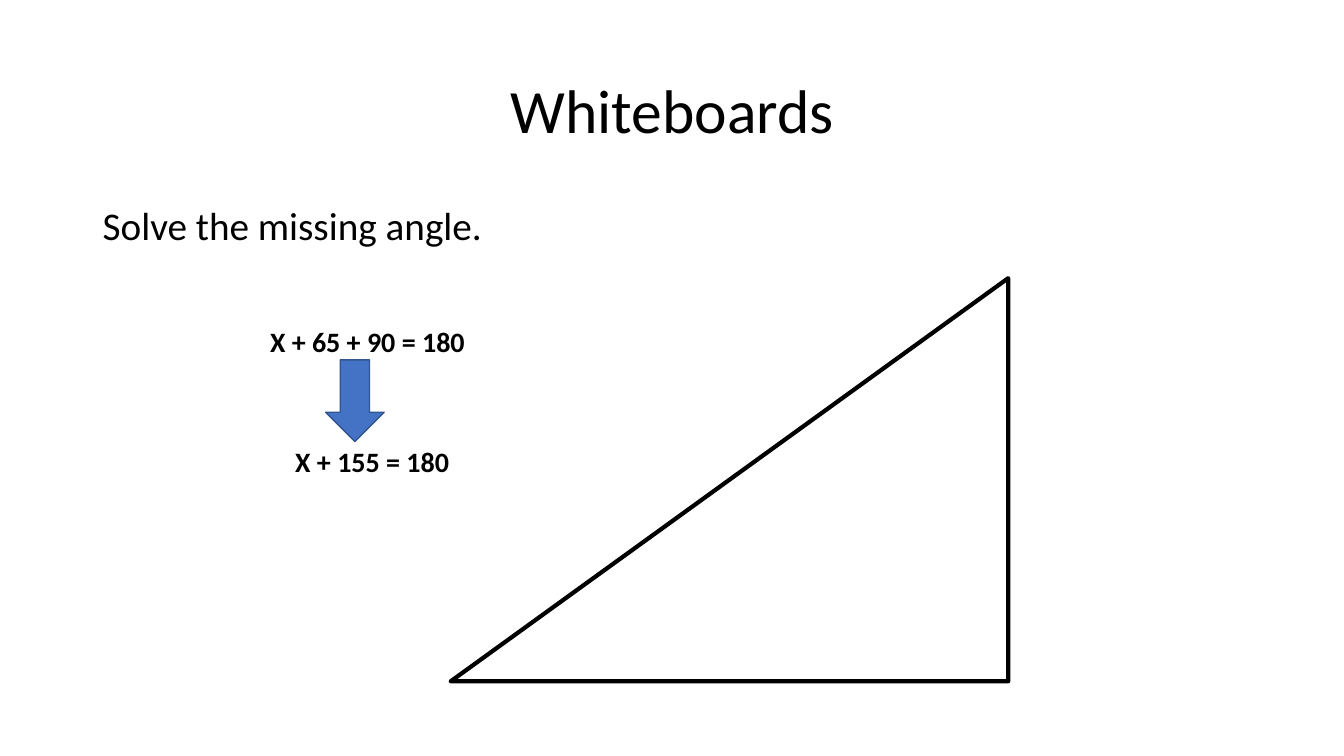
from pptx import Presentation
from pptx.dml.color import RGBColor
from pptx.enum.shapes import MSO_SHAPE
from pptx.enum.text import MSO_ANCHOR, PP_ALIGN
from pptx.util import Inches, Pt

BLACK = RGBColor(0x00, 0x00, 0x00)
BLUE = RGBColor(0x44, 0x72, 0xC4)
DARK_BLUE = RGBColor(0x32, 0x54, 0x91)


class WhiteboardSlide:
    font_name = "Calibri"

    def __init__(self, presentation):
        self.slide = presentation.slides.add_slide(presentation.slide_layouts[6])

    def add_text(self, text, left, top, width, height, size, bold=False,
                 align=PP_ALIGN.LEFT, anchor=MSO_ANCHOR.TOP, line_spacing=1.0):
        shape = self.slide.shapes.add_textbox(
            Inches(left), Inches(top), Inches(width), Inches(height))
        text_frame = shape.text_frame
        text_frame.word_wrap = True
        text_frame.vertical_anchor = anchor
        text_frame.text = text
        paragraph = text_frame.paragraphs[0]
        paragraph.alignment = align
        paragraph.line_spacing = line_spacing
        font = paragraph.runs[0].font
        font.name = self.font_name
        font.size = Pt(size)
        font.bold = bold
        font.color.rgb = BLACK

    def add_shape(self, kind, left, top, width, height, line_color, line_width, fill=None):
        shape = self.slide.shapes.add_shape(
            kind, Inches(left), Inches(top), Inches(width), Inches(height))
        shape.shadow.inherit = False
        if fill is None:
            shape.fill.background()
        else:
            shape.fill.solid()
            shape.fill.fore_color.rgb = fill
        shape.line.color.rgb = line_color
        shape.line.width = Pt(line_width)
        return shape


def main():
    presentation = Presentation()
    presentation.slide_width = Inches(13.33)
    presentation.slide_height = Inches(7.5)
    board = WhiteboardSlide(presentation)

    board.add_text("Whiteboards", 0.92, 0.4, 11.5, 1.45, 44, align=PP_ALIGN.CENTER,
                   anchor=MSO_ANCHOR.MIDDLE, line_spacing=0.9)
    board.add_text("Solve the missing angle.", 0.92, 2, 11.5, 4.76, 28, line_spacing=0.9)

    triangle = board.add_shape(MSO_SHAPE.ISOSCELES_TRIANGLE, 4.47, 2.76, 5.53, 4, BLACK, 3)
    triangle.adjustments[0] = 1.0  # apex above the right corner

    board.add_text("X + 65 + 90 = 180", 2.58, 3.17, 2.97, 0.44, 20, bold=True)
    board.add_text("X + 155 = 180", 2.83, 4.36, 2.97, 0.44, 20, bold=True)
    board.add_shape(MSO_SHAPE.DOWN_ARROW, 3.23, 3.57, 0.58, 0.81, DARK_BLUE, 1, fill=BLUE)

    presentation.save("out.pptx")


if __name__ == "__main__":
    main()
